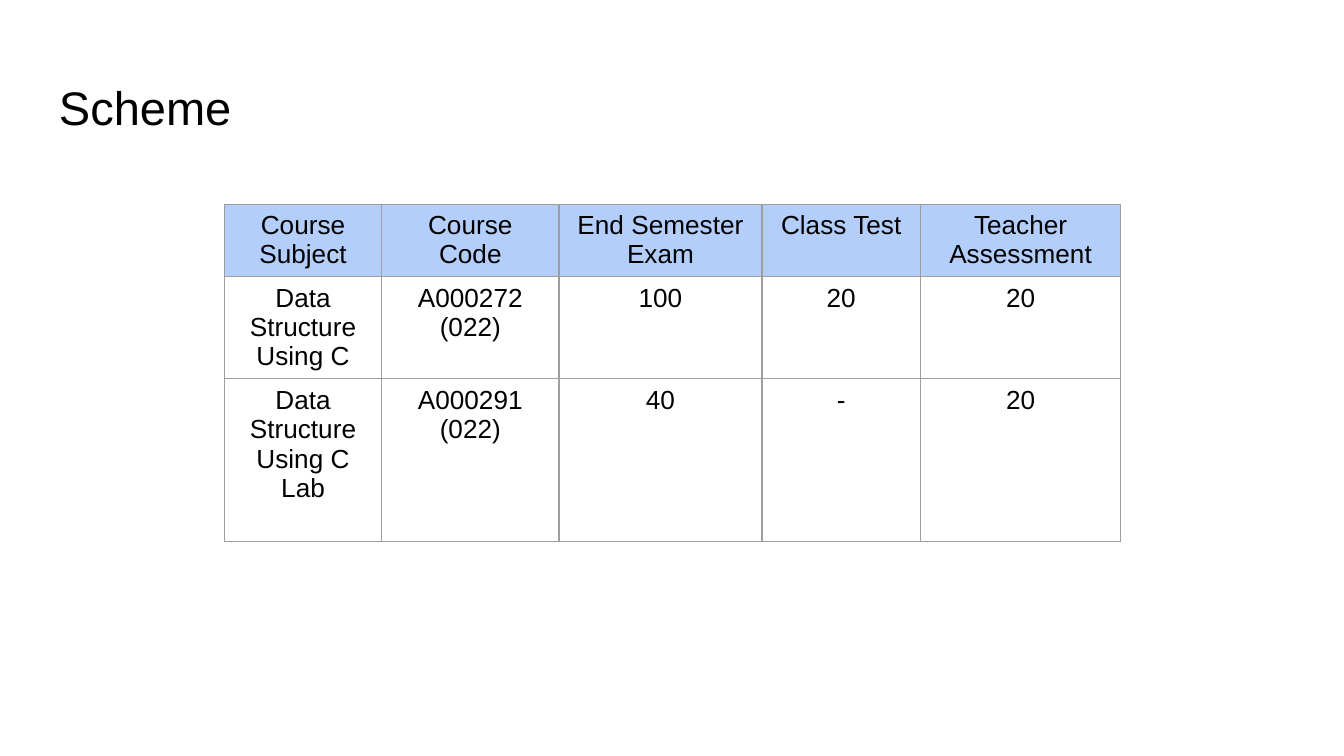
from dataclasses import dataclass

from lxml import etree
from pptx import Presentation
from pptx import util as u
from pptx.dml.color import RGBColor
from pptx.enum import text
from pptx.oxml.ns import qn
from pptx.slide import Slide
from pptx.table import _Cell
from pptx.text.text import TextFrame

WIDTH = u.Inches(10)
HEIGHT = u.Emu(WIDTH * 9 // 16)
FONT = "Arial"
BLACK = RGBColor(0x00, 0x00, 0x00)
HEADER_BLUE = RGBColor(0xB3, 0xCE, 0xFB)
BORDER_GREY = RGBColor(0x9E, 0x9E, 0x9E)
ROW_HEIGHTS = (0.54, 0.76, 1.21)


@dataclass(frozen=True)
class Column:
    width: float
    entries: tuple[str, str, str]


COLUMNS = (
    Column(1.17, ("Course Subject", "Data Structure Using C", "Data Structure Using C Lab")),
    Column(1.32, ("Course Code", "A000272 (022)", "A000291 (022)")),
    Column(1.51, ("End Semester Exam", "100", "40")),
    Column(1.18, ("Class Test", "20", "-")),
    Column(1.49, ("Teacher Assessment", "20", "20")),
)


def write(tf: TextFrame, content: str, size: float, align: text.PP_ALIGN) -> None:
    tf.word_wrap = True
    tf.text = content
    p = tf.paragraphs[0]
    p.alignment = align
    for r in p.runs:
        r.font.name = FONT
        r.font.size = u.Pt(size)
        r.font.bold = False
        r.font.color.rgb = BLACK


def add_title(s: Slide, content: str) -> None:
    sp = s.shapes.add_textbox(
        int(WIDTH * 0.034), int(HEIGHT * 0.086), int(WIDTH * 0.932), int(HEIGHT * 0.112)
    )
    tf = sp.text_frame
    tf.margin_left = tf.margin_right = tf.margin_top = tf.margin_bottom = u.Inches(0.1)
    write(tf, content, 25.2, text.PP_ALIGN.LEFT)


def add_borders(cell: _Cell) -> None:
    tcPr = cell._tc.get_or_add_tcPr()
    for i, side in enumerate(("a:lnL", "a:lnR", "a:lnT", "a:lnB")):
        ln = etree.Element(qn(side), w=str(u.Pt(0.75)))
        fill = etree.SubElement(ln, qn("a:solidFill"))
        etree.SubElement(fill, qn("a:srgbClr"), val=str(BORDER_GREY))
        tcPr.insert(i, ln)


def add_scheme(s: Slide, columns: tuple[Column, ...]) -> None:
    width = u.Inches(sum(c.width for c in columns))
    frame = s.shapes.add_table(
        len(ROW_HEIGHTS), len(columns), int(WIDTH * 0.167), int(HEIGHT * 0.27),
        width, u.Inches(sum(ROW_HEIGHTS)),
    )
    table = frame.table
    table.horz_banding = False
    for row, height in zip(table.rows, ROW_HEIGHTS):
        row.height = u.Inches(height)
    for i, column in enumerate(columns):
        table.columns[i].width = u.Inches(column.width)
        for j, entry in enumerate(column.entries):
            cell = table.cell(j, i)
            cell.margin_bottom = 0
            write(cell.text_frame, entry, 14, text.PP_ALIGN.CENTER)
            if j == 0:
                cell.fill.solid()
                cell.fill.fore_color.rgb = HEADER_BLUE
            else:
                cell.fill.background()
            add_borders(cell)


def main() -> None:
    prs = Presentation()
    prs.slide_width, prs.slide_height = WIDTH, HEIGHT
    s = prs.slides.add_slide(prs.slide_layouts[6])
    add_title(s, "Scheme")
    add_scheme(s, COLUMNS)
    prs.save("out.pptx")


if __name__ == "__main__":
    main()
